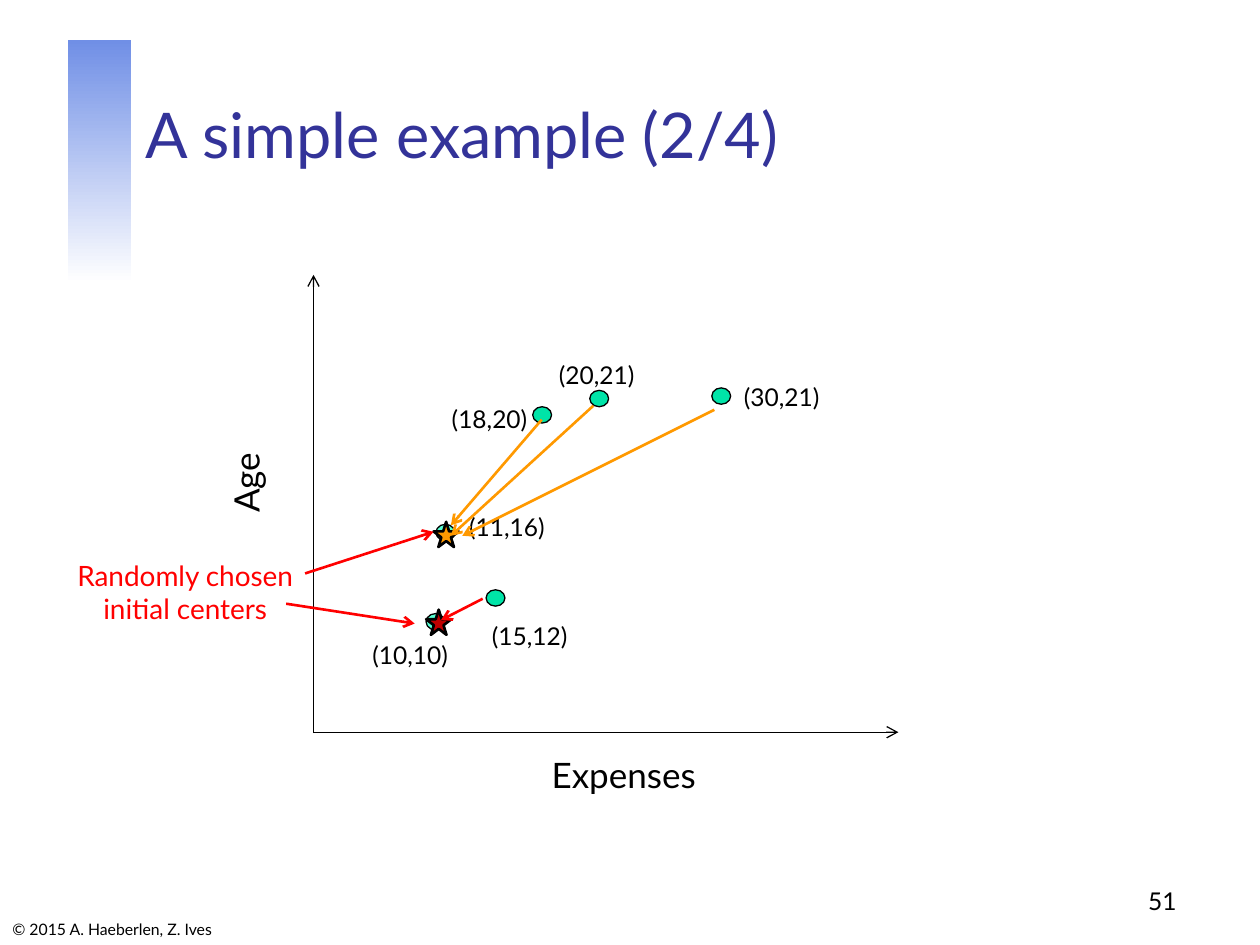
from pptx import Presentation
from pptx.dml.color import RGBColor
from pptx.enum.shapes import MSO_CONNECTOR, MSO_SHAPE
from pptx.enum.text import MSO_ANCHOR, PP_ALIGN
from pptx.oxml.ns import qn
from pptx.util import Cm, Pt
from lxml.etree import SubElement

COLORS = {
    "black": "000000",
    "white": "FFFFFF",
    "title": "333399",
    "band": "708FE6",
    "point": "00E4A8",
    "center": "56FFD2",
    "red": "FF0000",
    "orange": "FF9900",
    "dark_red": "C00000",
}
RGB = {name: RGBColor.from_string(value) for name, value in COLORS.items()}

prs = Presentation()
prs.slide_width, prs.slide_height = Cm(25.4), Cm(19.05)
s = prs.slides.add_slide(prs.slide_layouts[6])


def add_text(text, box, size, color="black", align=PP_ALIGN.CENTER,
             anchor=MSO_ANCHOR.TOP, before=0, wrap=True):
    sp = s.shapes.add_textbox(*map(Cm, box))
    tf = sp.text_frame
    tf.word_wrap = wrap
    tf.vertical_anchor = anchor
    p = tf.paragraphs[0]
    p.text = text
    p.alignment = align
    p.space_before = Pt(before)
    p.font.name = "Lato"
    p.font.size = Pt(size)
    p.font.color.rgb = RGB[color]
    return sp


def add_shape(kind, box, fill, width):
    sp = s.shapes.add_shape(kind, *map(Cm, box))
    sp.shadow.inherit = False
    sp.fill.solid()
    sp.fill.fore_color.rgb = RGB[fill]
    sp.line.color.rgb = RGB["black"]
    sp.line.width = Pt(width)


band = s.shapes.add_shape(MSO_SHAPE.RECTANGLE, Cm(1.37), Cm(0.81), Cm(1.27), Cm(4.9))
band.shadow.inherit = False
band.line.fill.background()
band.fill.gradient()
band.fill.gradient_angle = 270
for stop, color, position in zip(band.fill.gradient_stops, ("band", "white"), (0, 1)):
    stop.color.rgb = RGB[color]
    stop.position = position

add_text("© 2015 A. Haeberlen, Z. Ives", (0, 18.34, 4.93, 0.71), 9,
         align=PP_ALIGN.LEFT, anchor=MSO_ANCHOR.BOTTOM)
add_text("A simple example (2/4)", (2.69, 0.84, 21.64, 2.74), 36, "title",
         PP_ALIGN.LEFT, MSO_ANCHOR.BOTTOM)
add_text("51", (18.69, 17.3, 5.28, 1.27), 14,
         align=PP_ALIGN.RIGHT, anchor=MSO_ANCHOR.BOTTOM)

age = add_text("Age", (3.53, 9.17, 2.87, 1.12), 20, before=5)
age.rotation = 270
add_text("Expenses", (10.77, 15.06, 3.61, 1.12), 20, before=5, wrap=False)

points = [
    ("(30,21)", "point", (14.35, 7.82), (14.73, 7.57)),
    ("(11,16)", "center", (8.79, 10.57), (9.19, 10.19)),
    ("(20,21)", "point", (11.89, 7.87), (11, 7.14)),
    ("(15,12)", "point", (9.8, 11.89), (9.65, 12.4)),
    ("(10,10)", "center", (8.59, 12.37), (7.24, 12.78)),
    ("(18,20)", "point", (10.74, 8.2), (8.84, 8.03)),
]
for label, fill, dot_at, label_at in points:
    add_shape(MSO_SHAPE.OVAL, (*dot_at, 0.38, 0.33), fill, 0.75)
    add_text(label, (*label_at, 2.06, 0.86), 14, before=3.5, wrap=False)

add_text("Randomly chosen\ninitial centers", (0.38, 11.13, 6.71, 1.63), 16, "red", before=4)

for star_at, fill in [((8.74, 10.52), "orange"), ((8.59, 12.29), "dark_red")]:
    add_shape(MSO_SHAPE.STAR_5_POINT, (*star_at, 0.51, 0.51), fill, 1.5)

arrows = [
    ((6.32, 14.78, 6.32, 5.54), "black", 0.75),
    ((6.32, 14.76, 18.11, 14.76), "black", 0.75),
    ((6.15, 11.56, 8.74, 10.72), "red", 1.5),
    ((5.77, 12.17, 8.36, 12.57), "red", 1.5),
    ((10.92, 8.46, 9.09, 10.59), "orange", 1.5),
    ((11.96, 8.18, 9.09, 10.8), "orange", 1.5),
    ((14.4, 8.26, 9.32, 10.8), "orange", 1.5),
    ((9.73, 12.07, 8.89, 12.5), "red", 1.5),
]
for ends, color, width in arrows:
    arrow = s.shapes.add_connector(MSO_CONNECTOR.STRAIGHT, *map(Cm, ends))
    arrow.line.color.rgb = RGB[color]
    arrow.line.width = Pt(width)
    SubElement(arrow.line._get_or_add_ln(), qn("a:tailEnd"), type="arrow")
    SubElement(arrow._element.spPr, qn("a:effectLst"))

prs.save("out.pptx")
